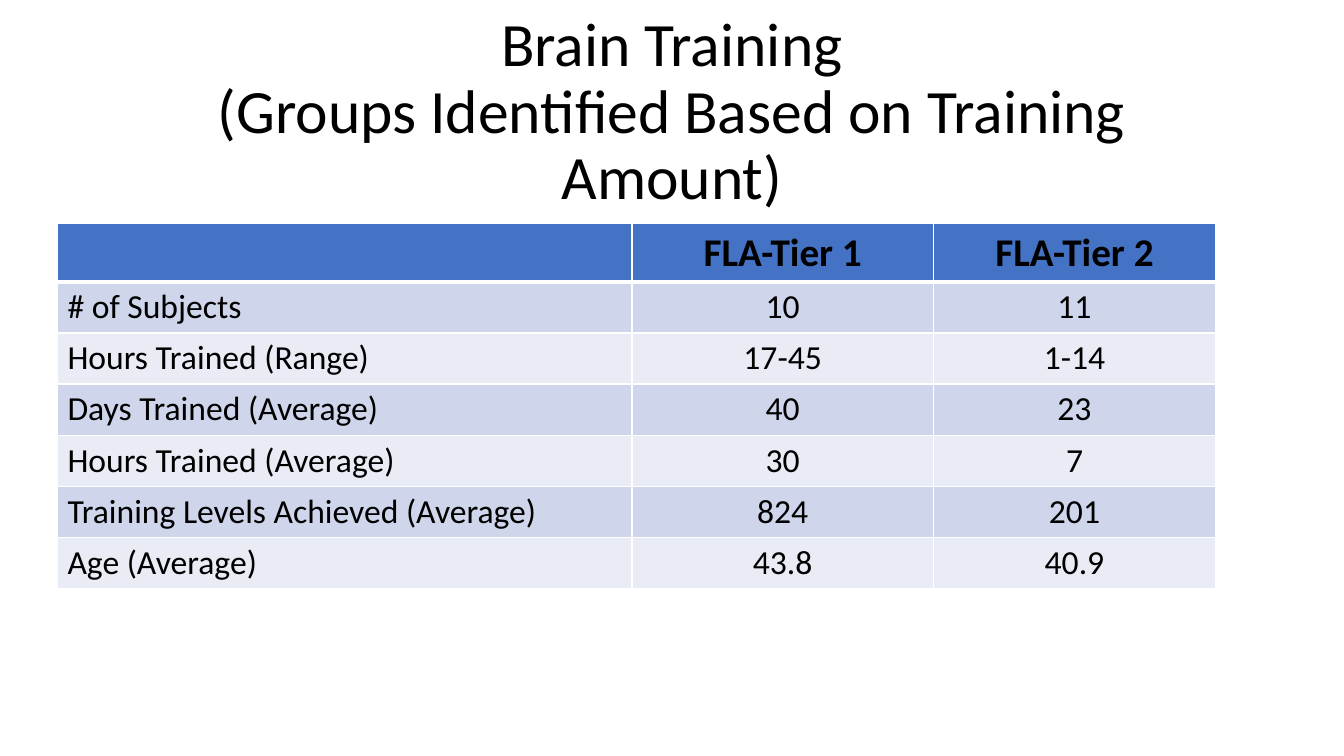
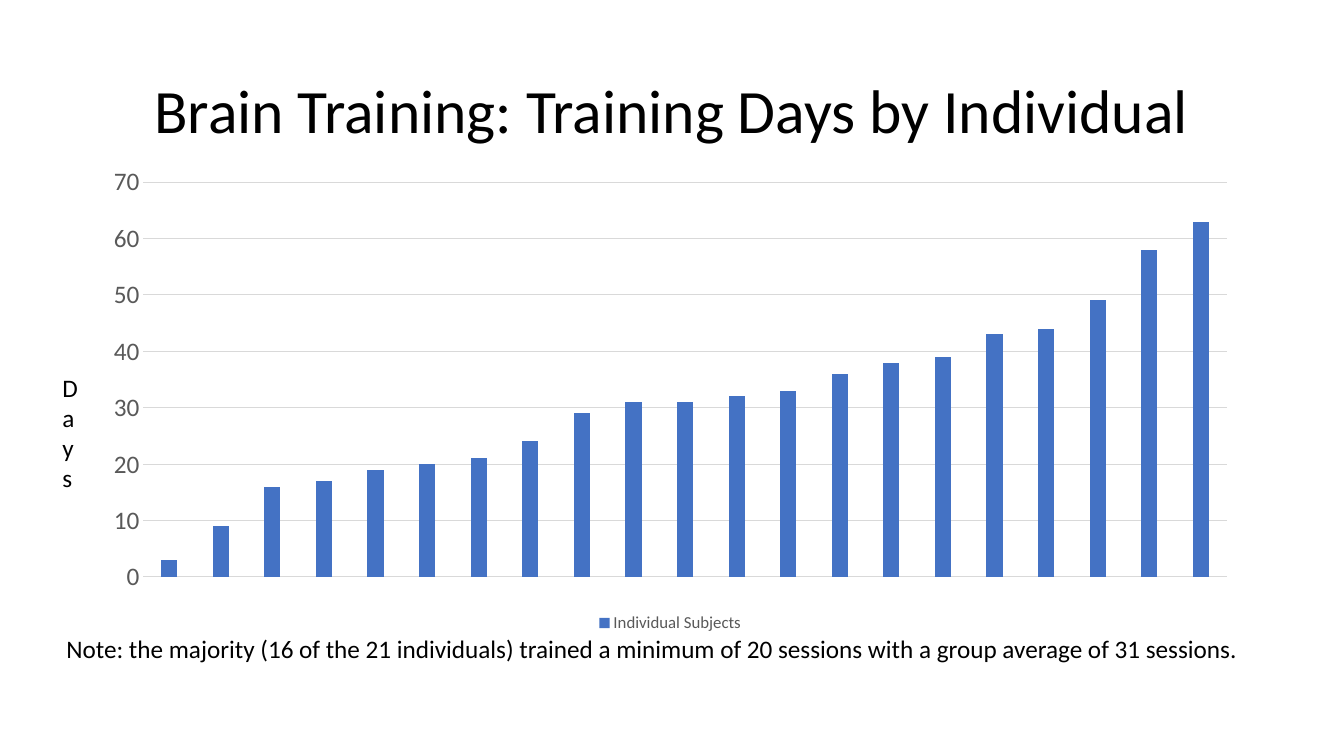
from dataclasses import dataclass
from lxml import etree
from pptx import Presentation
from pptx import util as u
from pptx.chart.data import CategoryChartData
from pptx.dml.color import RGBColor
from pptx.enum import chart as ch, text
from pptx.oxml import ns

# Content
GROUPS_TITLE = ["Brain Training", "(Groups Identified Based on Training Amount)"]
GROUPS = [
    ("", "FLA-Tier 1", "FLA-Tier 2"),
    ("# of Subjects", "10", "11"),
    ("Hours Trained (Range)", "17-45", "1-14"),
    ("Days Trained (Average)", "40", "23"),
    ("Hours Trained (Average)", "30", "7"),
    ("Training Levels Achieved (Average)", "824", "201"),
    ("Age (Average)", "43.8", "40.9"),
]
DAYS_TITLE = ["Brain Training: Training Days by Individual"]
DAYS = {
    "Individual Subjects": [3, 9, 16, 17, 19, 20, 21, 24, 29, 31, 31,
                            32, 33, 36, 38, 39, 43, 44, 49, 58, 63],
    "Column2": [],
    "Column1": [],
}
SUBJECTS = 21
DAYS_AXIS = "Days"
DAYS_NOTE = ("Note: the majority (16 of the 21 individuals) trained a minimum of "
             "20 sessions with a group average of 31 sessions.")


# Shared look
@dataclass(frozen=True)
class Theme:
    font: str = "Calibri"
    ink: str = "000000"
    muted: str = "595959"
    grid: str = "D9D9D9"
    border: str = "FFFFFF"
    accents: tuple = ("4472C4", "ED7D31", "A5A5A5")
    bands: tuple = ("CFD5EA", "E9EBF5")
    title: int = 44
    header: int = 28
    cell: int = 24
    body: int = 18
    legend: int = 12


THEME = Theme()
SLIDE_W, SLIDE_H = 40 / 3, 7.5
CONTENT_W = 11.5
TITLE_BOX = ((SLIDE_W - CONTENT_W) / 2, 0.4, CONTENT_W, 1.45)
TABLE_LEFT, TABLE_TOP = 0.57, 2.22
COLUMNS = (5.7, 2.99, 2.8)
HEADER_H, ROW_H = 0.57, 0.5
CHART_BOX = (0.9, 1.56, CONTENT_W, 4.76)
AXIS_BOX = (0.52, 3.64, 0.39, 1.32)
NOTE_BOX = (0.56, 6.23, 11.85, 0.4)


def inches(box):
    return [u.Inches(length) for length in box]


def style(font, size, color=THEME.ink, bold=False):
    font.name, font.size, font.bold = THEME.font, u.Pt(size), bold
    font.color.rgb = RGBColor.from_string(color)


def write(paragraph, words, size, bold=False):
    run = paragraph.add_run()
    run.text = words
    style(run.font, size, bold=bold)


def titled_slide(deck, lines):
    slide = deck.slides.add_slide(deck.slide_layouts[5])
    title = slide.shapes.title
    title.left, title.top, title.width, title.height = inches(TITLE_BOX)
    frame = title.text_frame
    frame.auto_size = text.MSO_AUTO_SIZE.NONE
    frame.vertical_anchor = text.MSO_ANCHOR.MIDDLE
    heading = frame.paragraphs[0]
    heading.alignment = text.PP_ALIGN.CENTER
    heading.line_spacing = 0.9
    for index, line in enumerate(lines):
        if index:
            heading.add_line_break()
        write(heading, line, THEME.title)
    return slide


def add_label(slide, box, words):
    frame = slide.shapes.add_textbox(*inches(box)).text_frame
    frame.word_wrap = True
    frame.auto_size = text.MSO_AUTO_SIZE.SHAPE_TO_FIT_TEXT
    write(frame.paragraphs[0], words, THEME.body)


def fill_cell(cell, color, widths):
    """Set the borders (left, right, top, bottom, in points), then the fill."""
    props = cell._tc.get_or_add_tcPr()
    for side, width in zip(("lnL", "lnR", "lnT", "lnB"), widths):
        line = etree.SubElement(props, ns.qn(f"a:{side}"), w=str(u.Pt(width)))
        solid = etree.SubElement(line, ns.qn("a:solidFill"))
        etree.SubElement(solid, ns.qn("a:srgbClr"), val=THEME.border)
    cell.fill.solid()
    cell.fill.fore_color.rgb = RGBColor.from_string(color)


def add_groups_table(slide):
    height = HEADER_H + ROW_H * (len(GROUPS) - 1)
    box = (TABLE_LEFT, TABLE_TOP, sum(COLUMNS), height)
    table = slide.shapes.add_table(len(GROUPS), len(COLUMNS), *inches(box)).table
    for column, width in zip(table.columns, COLUMNS):
        column.width = u.Inches(width)
    for r, entries in enumerate(GROUPS):
        header = r == 0
        table.rows[r].height = u.Inches(HEADER_H if header else ROW_H)
        color = THEME.accents[0] if header else THEME.bands[(r - 1) % 2]
        widths = (1, 1, 3 if r == 1 else 1, 3 if header else 1)
        for c, entry in enumerate(entries):
            cell = table.cell(r, c)
            fill_cell(cell, color, widths)
            paragraph = cell.text_frame.paragraphs[0]
            if c:
                paragraph.alignment = text.PP_ALIGN.CENTER
            if entry:
                write(paragraph, entry, THEME.header if header else THEME.cell, header)


def add_days_chart(slide):
    data = CategoryChartData()
    data.categories = [str(n) for n in range(1, SUBJECTS + 1)]
    for name, values in DAYS.items():
        data.add_series(name, values)
    chart = slide.shapes.add_chart(
        ch.XL_CHART_TYPE.COLUMN_CLUSTERED, *inches(CHART_BOX), data).chart
    style(chart.font, THEME.body)
    chart.has_title = False

    # Columns
    plot = chart.plots[0]
    plot.vary_by_categories = False
    plot.gap_width, plot.overlap = 219, -27
    for series, color in zip(plot.series, THEME.accents):
        series.format.fill.solid()
        series.format.fill.fore_color.rgb = RGBColor.from_string(color)

    # Axes
    chart.category_axis.visible = False
    days = chart.value_axis
    days.minimum_scale, days.maximum_scale, days.major_unit = 0, 70, 10
    days.major_tick_mark = days.minor_tick_mark = ch.XL_TICK_MARK.NONE
    days.format.line.fill.background()
    style(days.tick_labels.font, THEME.body, THEME.muted)
    grid = days.major_gridlines.format.line
    grid.width = u.Pt(0.75)
    grid.color.rgb = RGBColor.from_string(THEME.grid)

    # Legend, listing only the series that have values
    chart.has_legend = True
    legend = chart.legend
    legend.position = ch.XL_LEGEND_POSITION.BOTTOM
    legend.include_in_layout = False
    style(legend.font, THEME.legend, THEME.muted)
    place = legend._element.find(ns.qn("c:legendPos"))
    for index, values in reversed(list(enumerate(DAYS.values()))):
        if not values:
            entry = etree.Element(ns.qn("c:legendEntry"))
            etree.SubElement(entry, ns.qn("c:idx"), val=str(index))
            etree.SubElement(entry, ns.qn("c:delete"), val="1")
            place.addnext(entry)


def main():
    deck = Presentation()
    deck.slide_width, deck.slide_height = inches((SLIDE_W, SLIDE_H))

    add_groups_table(titled_slide(deck, GROUPS_TITLE))

    days_slide = titled_slide(deck, DAYS_TITLE)
    add_days_chart(days_slide)
    add_label(days_slide, AXIS_BOX, DAYS_AXIS)
    add_label(days_slide, NOTE_BOX, DAYS_NOTE)

    deck.save("out.pptx")


if __name__ == "__main__":
    main()
